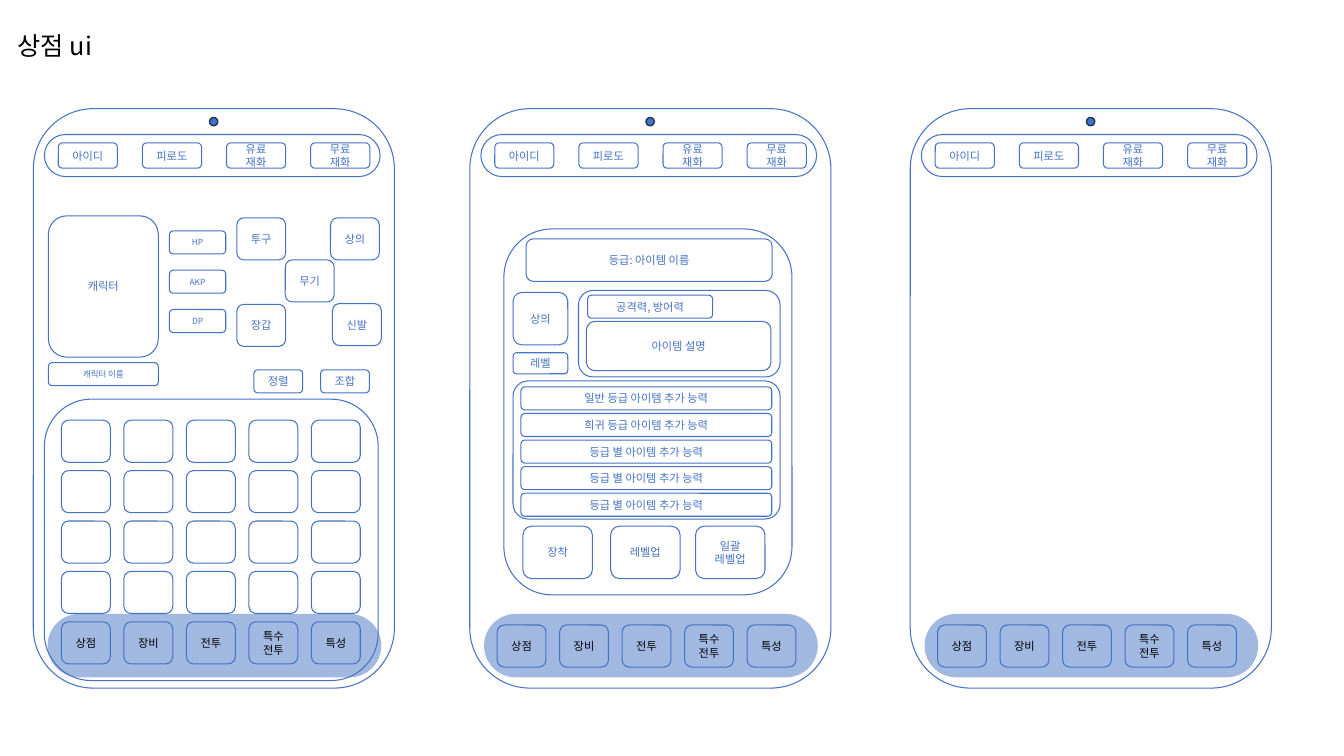
from lxml import etree
from pptx import Presentation
from pptx.dml.color import RGBColor
from pptx.enum.shapes import MSO_SHAPE as Shape
from pptx.enum.text import MSO_ANCHOR as Anchor, MSO_AUTO_SIZE as AutoSize, PP_ALIGN as Align
from pptx.oxml.ns import qn
from pptx.util import Cm, Pt

BLUE = RGBColor(0x44, 0x72, 0xC4)
NAVY = RGBColor(0x1E, 0x32, 0x56)
BLACK = RGBColor(0, 0, 0)
FONT = "Noto Sans CJK KR"


def write(para, text, size, color):
    """Add text to a paragraph, one run per line, in Latin and Korean fonts."""
    for number, line in enumerate(text.split("\n")):
        if number:
            para.add_line_break()
        span = para.add_run()
        span.text = line
        span.font.size = Pt(size)
        span.font.color.rgb = color
        span.font.name = FONT
        east_asian = etree.SubElement(span.font._element, qn("a:ea"))
        east_asian.set("typeface", FONT)


def add_box(group, left, top, width, height, text="", size=8, color=BLUE, corner=None):
    """Add an outlined rounded box; lengths are in centimetres."""
    box = group.shapes.add_shape(
        Shape.ROUNDED_RECTANGLE, Cm(left), Cm(top), Cm(width), Cm(height))
    box.shadow.inherit = False
    box.fill.background()
    box.line.color.rgb = BLUE
    box.line.width = Pt(0.75)
    if corner is not None:
        box.adjustments[0] = corner
    if text:
        frame = box.text_frame
        frame.word_wrap = True
        frame.vertical_anchor = Anchor.MIDDLE
        frame.paragraphs[0].alignment = Align.CENTER
        write(frame.paragraphs[0], text, size, color)
    return box


deck = Presentation()
deck.slide_width, deck.slide_height = Cm(33.87), Cm(19.05)
page = deck.slides.add_slide(deck.slide_layouts[6])

title = page.shapes.add_textbox(Cm(0.2), Cm(0.64), Cm(10.59), Cm(1.02)).text_frame
title.word_wrap = True
title.auto_size = AutoSize.SHAPE_TO_FIT_TEXT
write(title.paragraphs[0], "상점 ui", 18, BLACK)

# Shared phone frame: dock, body, status bar, camera and menu
SLOT_W, SLOT_H, SLOT_STEP = 1.23, 1.06, 1.575
phones = []
for left, menu_left, menu_top in [(0.84, 1.55, 15.67), (11.84, 12.53, 15.75), (22.94, 23.63, 15.75)]:
    phone = page.shapes.add_group_shape()
    phones.append(phone)

    dock = add_box(phone, left + 0.36, 15.47, 8.41, 1.6, corner=0.5)
    dock.line.fill.background()
    dock.fill.solid()
    dock.fill.fore_color.rgb = BLUE
    dock_color = dock._element.spPr.find(qn("a:solidFill"))[0]
    etree.SubElement(dock_color, qn("a:alpha")).set("val", "50000")

    add_box(phone, left, 2.74, 9.1, 14.6)
    add_box(phone, left + 0.28, 3.39, 8.46, 1.06, corner=0.5)
    for column, label in enumerate(["아이디", "피로도", "유료\n재화", "무료\n재화"]):
        add_box(phone, left + 0.63 + 2.12 * column, 3.6, 1.49, 0.64, label)

    camera = phone.shapes.add_shape(Shape.OVAL, Cm(left + 4.44), Cm(2.96), Cm(0.21), Cm(0.21))
    camera.shadow.inherit = False
    camera.fill.solid()
    camera.fill.fore_color.rgb = BLUE
    camera.line.color.rgb = NAVY
    camera.line.width = Pt(1)

    for column, label in enumerate(["상점", "장비", "전투", "특수전투", "특성"]):
        add_box(phone, menu_left + SLOT_STEP * column, menu_top, SLOT_W, SLOT_H, label, color=BLACK)

equipment, item, _ = phones

# Equipment phone: character, stats, gear and inventory
add_box(equipment, 1.22, 5.44, 2.77, 3.56, "캐릭터")
add_box(equipment, 1.22, 9.14, 2.77, 0.58, "캐릭터 이름", size=6)
for row, stat in enumerate(["HP", "AKP", "DP"]):
    add_box(equipment, 4.27, 5.82 + 0.99 * row, 1.42, 0.58, stat, size=6)
for gear, left, top in [("투구", 5.97, 5.49), ("상의", 8.33, 5.49), ("무기", 7.19, 6.55),
                        ("장갑", 5.97, 7.67), ("신발", 8.38, 7.65)]:
    add_box(equipment, left, top, SLOT_W, SLOT_H, gear)
for action, left in [("정렬", 6.4), ("조합", 8.08)]:
    add_box(equipment, left, 9.32, SLOT_W, 0.58, action)
add_box(equipment, 1.12, 10.06, 8.41, 7.09)
for row in range(4):
    for column in range(5):
        add_box(equipment, 1.55 + SLOT_STEP * column, 10.59 + 1.27 * row, SLOT_W, SLOT_H)

# Item phone: details, extra abilities and actions
add_box(item, 12.7, 5.77, 7.26, 9.22)
add_box(item, 13.26, 6.02, 6.2, 1.07, "등급: 아이템 이름")
add_box(item, 12.93, 7.37, 1.38, 1.32, "상의")
add_box(item, 12.93, 8.89, 1.38, 0.53, "레벨")
add_box(item, 14.58, 7.32, 5.08, 2.18)
add_box(item, 14.81, 7.44, 3.15, 0.58, "공격력, 방어력")
add_box(item, 14.78, 8.1, 4.65, 1.24, "아이템 설명")
add_box(item, 12.93, 9.6, 6.73, 3.48, corner=0.11)
for row, grade in enumerate(["일반 등급", "희귀 등급", "등급 별", "등급 별", "등급 별"]):
    add_box(item, 13.13, 9.75 + 0.67 * row, 6.32, 0.58, f"{grade} 아이템 추가 능력")
for action, left in [("장착", 13.18), ("레벨업", 15.39), ("일괄 레벨업", 17.53)]:
    add_box(item, left, 13.26, 1.75, 1.32, action)

deck.save("out.pptx")
